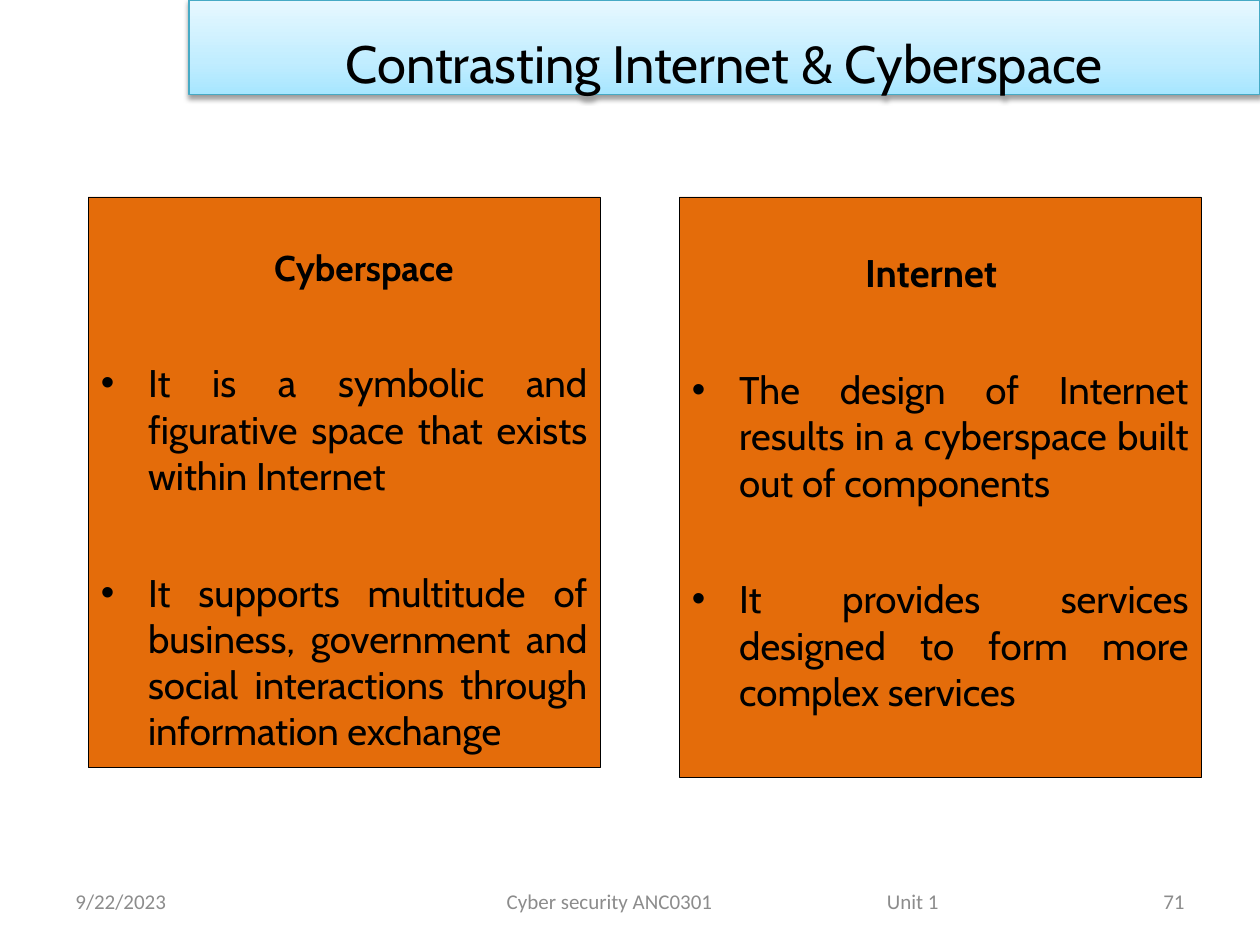
from copy import deepcopy

from lxml import etree
from pptx import Presentation
from pptx.dml.color import RGBColor
from pptx.enum import text
from pptx.oxml import ns
from pptx.util import Pt

COLORS = {
    "ink": "000000",
    "footer": "8C8C8C",
    "panel": "E46C0A",
    "banner_line": "46AAC5",
    "banner_low": "A7E6FF",
    "banner_mid": "C1EDFF",
    "banner_high": "E7F8FF",
}
ALIGN = text.PP_ALIGN


def rgb(name):
    return RGBColor.from_string(COLORS[name])


def place(box, left, top, width, height):
    box.left, box.top, box.width, box.height = map(Pt, (left, top, width, height))


def style(paragraph, size, color="ink", face="Cabin", bold=False):
    for run in paragraph.runs:
        run.font.size = Pt(size)
        run.font.name = face
        run.font.bold = bold
        run.font.color.rgb = rgb(color)


def outline(box, color, width):
    box.line.color.rgb = rgb(color)
    box.line.width = Pt(width)


def shade_banner(banner):
    banner.fill.gradient()
    banner.fill.gradient_angle = 90
    low, high = banner.fill.gradient_stops
    low.color.rgb, low.position = rgb("banner_low"), 0
    high.color.rgb, high.position = rgb("banner_high"), 1
    stops = banner.element.spPr.find(".//" + ns.qn("a:gsLst"))
    middle = deepcopy(stops[0])
    middle.set("pos", "35000")
    middle[0].set("val", COLORS["banner_mid"])
    stops.insert(1, middle)


def add_shadow(box):
    effects = etree.SubElement(box.element.spPr, ns.qn("a:effectLst"))
    shadow = etree.SubElement(
        effects, ns.qn("a:outerShdw"), blurRad=str(Pt(3.1)), dist=str(Pt(1.6)),
        dir="5400000", rotWithShape="0")
    color = etree.SubElement(shadow, ns.qn("a:srgbClr"), val=COLORS["ink"])
    etree.SubElement(color, ns.qn("a:alpha"), val="38000")


def fill_title(banner, title):
    place(banner, 108, 0, 612, 54)
    shade_banner(banner)
    outline(banner, "banner_line", 0.75)
    add_shadow(banner)
    frame = banner.text_frame
    frame.text = title
    frame.auto_size = text.MSO_AUTO_SIZE.NONE
    frame.vertical_anchor = text.MSO_ANCHOR.MIDDLE
    line = frame.paragraphs[0]
    line.alignment = ALIGN.CENTER
    line.line_spacing = 1.5
    style(line, 30)


def set_bullet(paragraph, margin, hanging, char=None):
    props = paragraph._p.get_or_add_pPr()
    props.set("marL", str(Pt(margin)))
    props.set("indent", str(-Pt(hanging)))
    if char:
        etree.SubElement(props, ns.qn("a:buFont"), typeface="Arial")
        etree.SubElement(props, ns.qn("a:buChar"), char=char)
    else:
        etree.SubElement(props, ns.qn("a:buNone"))


def fill_panel(panel, bounds, inset, heading, heading_size, points):
    place(panel, *bounds)
    panel.fill.solid()
    panel.fill.fore_color.rgb = rgb("panel")
    outline(panel, "ink", 0.25)
    frame = panel.text_frame
    frame.text = "\n".join([heading, *points])
    frame.auto_size = text.MSO_AUTO_SIZE.NONE
    frame.margin_top = Pt(inset)
    title, *bullets = frame.paragraphs
    set_bullet(title, 99, 0)
    title.space_before = Pt(0)
    title.space_after = Pt(36)
    style(title, heading_size, bold=True)
    for bullet in bullets:
        set_bullet(bullet, 27, 27, "•")
        bullet.alignment = ALIGN.JUSTIFY
        bullet.space_before = Pt(4.4)
        bullet.space_after = Pt(36)
        style(bullet, 22)


def add_footer(slide, words, left, width, alignment=ALIGN.LEFT):
    frame = slide.shapes.add_textbox(Pt(left), Pt(500.5), Pt(width), Pt(28.75)).text_frame
    frame.word_wrap = True
    frame.vertical_anchor = text.MSO_ANCHOR.MIDDLE
    frame.text = words
    frame.paragraphs[0].alignment = alignment
    style(frame.paragraphs[0], 12, "footer", "Calibri")


def main():
    deck = Presentation()
    deck.slide_width, deck.slide_height = Pt(720), Pt(540)
    slide = deck.slides.add_slide(deck.slide_layouts[3])
    banner, cyberspace, internet = slide.placeholders

    add_footer(slide, "9/22/2023", 36, 168)
    add_footer(slide, "Cyber security ANC0301", 282.5, 160)
    add_footer(slide, "Unit 1", 499.7, 60)
    add_footer(slide, "71", 516, 168, ALIGN.RIGHT)

    fill_title(banner, "Contrasting Internet & Cyberspace")
    fill_panel(cyberspace, (50.4, 112.5, 292.5, 326.2), 28, "Cyberspace", 20.4, [
        "It is a symbolic and figurative space that exists within Internet",
        "It supports multitude of business, government and social interactions "
        "through information exchange",
    ])
    fill_panel(internet, (388.2, 112.5, 298.2, 331.8), 30, "Internet", 22, [
        "The design of Internet results in a cyberspace built out of components",
        "It provides services designed to form more complex services",
    ])
    deck.save("out.pptx")


if __name__ == "__main__":
    main()
